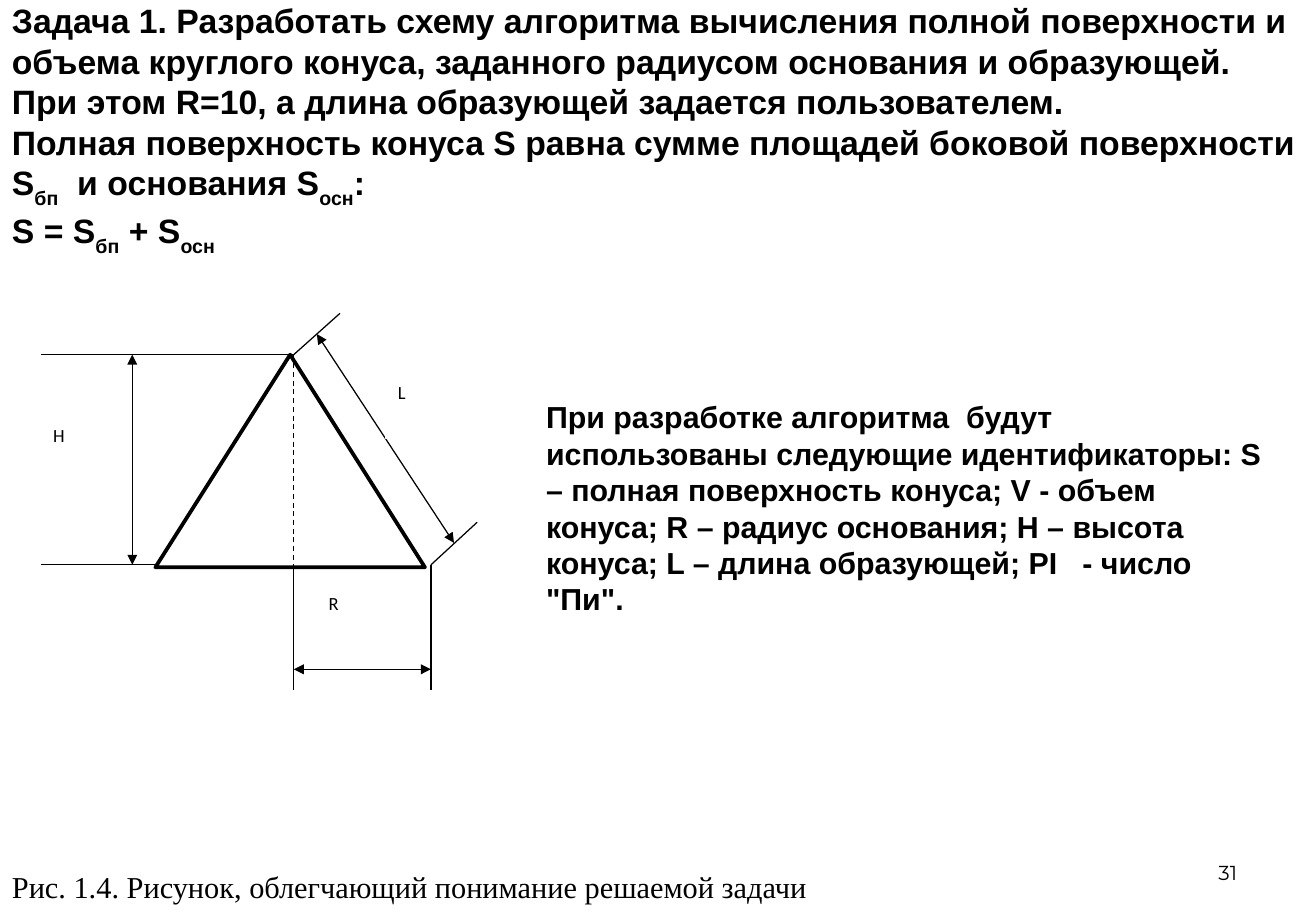
"""Build the cone task slide: statement, dimensioned drawing, identifiers and caption."""
from lxml.etree import SubElement
from pptx import Presentation
from pptx.dml.color import RGBColor
from pptx.enum.dml import MSO_LINE
from pptx.enum.shapes import MSO_CONNECTOR, MSO_SHAPE
from pptx.enum.text import MSO_ANCHOR, PP_ALIGN
from pptx.oxml.ns import qn
from pptx.util import Inches, Pt

COLORS = {"ink": "000000", "paper": "FFFFFF"}

HEADING = {"name": "Arial", "size": Pt(20), "bold": True}
BODY = {"name": "Arial", "size": Pt(18), "bold": True}
CAPTION = {"name": "Times New Roman", "size": Pt(18)}
NUMBER = {"name": "Montserrat", "size": Pt(12)}
LABEL = {"name": "Calibri", "size": Pt(11)}

TASK = [
    ["Задача 1. Разработать схему алгоритма вычисления полной поверхности и объема круглого конуса, "
     "заданного радиусом основания и образующей. При этом R=10, а длина образующей задается пользователем."],
    ["Полная поверхность конуса S равна сумме площадей боковой поверхности S", "бп",
     "  и основания S", "осн", ":"],
    ["S = S", "бп", " + S", "осн"],
]
IDENTIFIERS = [[
    "При разработке алгоритма  будут использованы следующие идентификаторы: S – полная поверхность "
    "конуса; V - объем конуса; R – радиус основания; H – высота конуса; L – длина образующей; "
    "PI   - число \"Пи\"."
]]
FIGURE_TITLE = [["Рис. 1.4. Рисунок, облегчающий понимание решаемой задачи"]]
PAGE_NUMBER = [["31"]]

LEFT, AXIS, EDGE = 0.34, 2.42, 3.55
APEX, BASE, BOTTOM = 2.92, 4.65, 5.68
HEIGHT_X, RADIUS_Y = 1.09, 5.51
CONE = (1.28, APEX, 2.22, 1.75)

EXTENSIONS = [
    (1.28, BASE, LEFT, BASE),
    (AXIS, APEX, LEFT, APEX),
    (AXIS, BASE, AXIS, BOTTOM),
    (EDGE, BASE, EDGE, BOTTOM),
    (AXIS, APEX, 2.8, 2.58),
    (EDGE, BASE, 3.93, 4.3),
]
DIMENSIONS = [
    (HEIGHT_X, APEX, HEIGHT_X, BASE),
    (AXIS, RADIUS_Y, EDGE, RADIUS_Y),
    (2.61, 2.75, 3.74, 4.47),
]
LABELS = [("L", 3.18, 3.09), ("R", 2.61, 4.82), ("H", LEFT, 3.44)]
LABEL_SIZE = (0.57, 0.52)


def color(name):
    """Return the named colour."""
    return RGBColor.from_string(COLORS[name])


def write(box, paragraphs, font, top=0.05, anchor=MSO_ANCHOR.TOP, align=PP_ALIGN.LEFT):
    """Fill a box with paragraphs whose every second span is a subscript."""
    frame = box.text_frame
    settings = {"word_wrap": True, "vertical_anchor": anchor, "margin_top": Inches(top)}
    for key, value in settings.items():
        setattr(frame, key, value)
    for index, spans in enumerate(paragraphs):
        para = frame.add_paragraph() if index else frame.paragraphs[0]
        para.alignment = align
        for position, text in enumerate(spans):
            span = para.add_run()
            span.text = text
            for key, value in font.items():
                setattr(span.font, key, value)
            span.font.color.rgb = color("ink")
            if position % 2:
                span.font._element.set("baseline", "-30000")


def add_text(page, place, paragraphs, font, **layout):
    """Add a text box."""
    write(page.shapes.add_textbox(*map(Inches, place)), paragraphs, font, **layout)


def add_filled(shapes, kind, place, outline=None, width=0.75):
    """Add a white shape with an optional outline."""
    shape = shapes.add_shape(kind, *map(Inches, place))
    shape.shadow.inherit = False
    shape.fill.solid()
    shape.fill.fore_color.rgb = color("paper")
    if outline:
        shape.line.color.rgb = color(outline)
        shape.line.width = Pt(width)
    else:
        shape.line.fill.background()
    return shape


def add_line(shapes, ends, arrows=False, dashed=False):
    """Add a thin line, with arrowheads or dashes if asked."""
    line = shapes.add_connector(MSO_CONNECTOR.STRAIGHT, *map(Inches, ends))
    line.line.color.rgb = color("ink")
    line.line.width = Pt(0.75)
    if dashed:
        line.line.dash_style = MSO_LINE.DASH
    if arrows:
        for end in ("a:headEnd", "a:tailEnd"):
            SubElement(line.line._get_or_add_ln(), qn(end), type="triangle")
    SubElement(line._element.spPr, qn("a:effectLst"))


def draw_cone(page):
    """Draw the cone section with its dimensions as one group."""
    shapes = page.shapes.add_group_shape().shapes
    add_filled(shapes, MSO_SHAPE.ISOSCELES_TRIANGLE, CONE, "ink", 2.25)
    for ends in EXTENSIONS:
        add_line(shapes, ends)
    add_line(shapes, (AXIS, APEX, AXIS, BASE), dashed=True)
    for ends in DIMENSIONS:
        add_line(shapes, ends, arrows=True)
    for text, left, top in LABELS:
        box = add_filled(shapes, MSO_SHAPE.RECTANGLE, (left, top, *LABEL_SIZE), "paper")
        write(box, [[text]], LABEL)


def main():
    """Assemble and save the deck."""
    deck = Presentation()
    deck.slide_width, deck.slide_height = Inches(10.84), Inches(7.5)
    page = deck.slides.add_slide(deck.slide_layouts[6])
    caption = add_filled(page.shapes, MSO_SHAPE.RECTANGLE, (0, 7.1, 10.7, 0.4))
    write(caption, FIGURE_TITLE, CAPTION)
    add_text(page, (7.76, 6.83, 2.53, 0.5), PAGE_NUMBER, NUMBER,
             anchor=MSO_ANCHOR.BOTTOM, align=PP_ALIGN.RIGHT)
    draw_cone(page)
    add_text(page, (0, 0, 10.83, 2.52), TASK, HEADING, top=0)
    add_text(page, (4.4, 3.14, 6.17, 2.24), IDENTIFIERS, BODY, top=0.14)
    deck.save("out.pptx")


if __name__ == "__main__":
    main()
